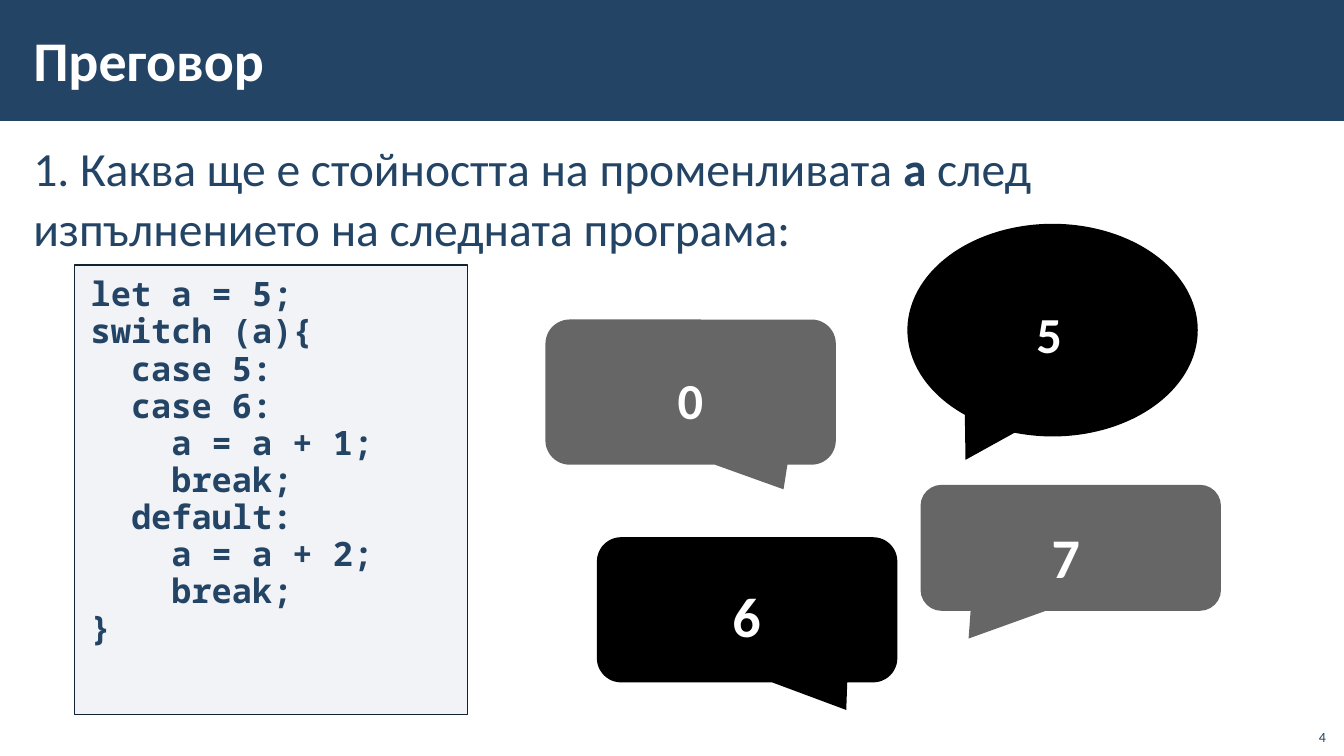
"""Build a quiz slide with a code listing and four answer callouts."""
from dataclasses import dataclass

from lxml import etree
from pptx import Presentation
from pptx.dml.color import RGBColor
from pptx.enum import shapes, text
from pptx.oxml import ns
from pptx.util import Emu, Pt

TITLE = "Преговор"
QUESTION = [
    [("1. Каква ще е стойността на променливата ", False), ("а", True), (" след ", False)],
    [("изпълнението на следната програма:", False)],
]
CODE = """let a = 5;
switch (a){
  case 5:
  case 6:
    a = a + 1;
    break;
  default:
    a = a + 2;
    break;
}"""
PAGE = "4"

ELLIPSE = shapes.MSO_SHAPE.OVAL_CALLOUT
ROUNDED = shapes.MSO_SHAPE.ROUNDED_RECTANGULAR_CALLOUT
LEFT, CENTER, RIGHT = text.PP_ALIGN.LEFT, text.PP_ALIGN.CENTER, text.PP_ALIGN.RIGHT
TOP, MIDDLE, BOTTOM = text.MSO_ANCHOR.TOP, text.MSO_ANCHOR.MIDDLE, text.MSO_ANCHOR.BOTTOM


@dataclass(frozen=True)
class Theme:
    navy: str = "234465"
    white: str = "FFFFFF"
    black: str = "000000"
    gray: str = "666666"
    panel: str = "ADB4C3"
    panel_line: str = "112232"
    panel_opacity: int = 15
    body_font: str = "Calibri"
    code_font: str = "Noto Sans Mono"
    title_size: int = 40
    question_size: int = 34
    code_size: int = 24
    answer_size: int = 36
    big_answer_size: int = 40
    page_size: int = 10


THEME = Theme()
PX = 9144
SLIDE = (1333, 750)
BAND = (0, 0, 1333, 120)
TITLE_BOX = (21, 11, 1062, 96)
QUESTION_BOX = (21, 131, 1292, 608)
CODE_BOX = (74, 263, 390, 446)
PAGE_BOX = (1285, 712, 40, 32)
BODY_INSETS = (12, 4, 12, 4)
WIDE_INSETS = (16, 12, 16, 12)
PAGE_INSETS = (10, 5, 10, 5)

ANSWERS = [
    dict(label="5", kind=ELLIPSE, box=(900, 222, 288, 211), tail=(-0.3, 0.61),
         color=THEME.black, label_box=(962, 289, 171, 84), insets=(66, 12, 16, 12),
         size=THEME.answer_size, align=LEFT, spacing=1.0),
    dict(label="7", kind=ROUNDED, box=(913, 481, 298, 125), tail=(-0.34, 0.72),
         color=THEME.gray, label_box=(910, 500, 294, 97), insets=WIDE_INSETS,
         size=THEME.big_answer_size, align=CENTER, spacing=1.1),
    dict(label="0", kind=ROUNDED, box=(541, 317, 288, 144), tail=(0.32, 0.67),
         color=THEME.gray, label_box=(656, 348, 91, 90), insets=WIDE_INSETS,
         size=THEME.answer_size, align=LEFT, spacing=1.1),
    dict(label="6", kind=ROUNDED, box=(592, 533, 298, 144), tail=(0.33, 0.69),
         color=THEME.black, label_box=(606, 558, 269, 97), insets=WIDE_INSETS,
         size=THEME.big_answer_size, align=CENTER, spacing=1.1),
]


def emu(lengths):
    return [Emu(length * PX) for length in lengths]


def rgb(color):
    return RGBColor.from_string(color)


def add_filled(parent, kind, box, color):
    shape = parent.add_shape(kind, *emu(box))
    shape.shadow.inherit = False
    shape.fill.solid()
    shape.fill.fore_color.rgb = rgb(color)
    shape.line.fill.background()
    return shape


def set_frame(shape, insets, anchor=TOP):
    frame = shape.text_frame
    frame.word_wrap = True
    frame.vertical_anchor = anchor
    (frame.margin_left, frame.margin_top,
     frame.margin_right, frame.margin_bottom) = emu(insets)
    return frame


def style(paragraph, size, color, font=THEME.body_font, bold=None, align=LEFT, spacing=1.0):
    paragraph.font.name = font
    paragraph.font.size = Pt(size)
    paragraph.font.color.rgb = rgb(color)
    paragraph.font.bold = bold
    paragraph.alignment = align
    paragraph.line_spacing = spacing


def add_label(parent, wording, box, insets, size, color, anchor=TOP, **options):
    frame = set_frame(parent.add_textbox(*emu(box)), insets, anchor)
    frame.text = wording
    style(frame.paragraphs[0], size, color, **options)


def add_code(parent):
    panel = add_filled(parent, shapes.MSO_SHAPE.RECTANGLE, CODE_BOX, THEME.panel)
    panel.line.color.rgb = rgb(THEME.panel_line)
    panel.line.width = Pt(1)
    fill_color = panel.fill._xPr.find(ns.qn("a:solidFill"))[0]
    etree.SubElement(fill_color, ns.qn("a:alpha"), val=str(THEME.panel_opacity * 1000))
    frame = set_frame(panel, WIDE_INSETS)
    frame.text = CODE
    for paragraph in frame.paragraphs:
        style(paragraph, THEME.code_size, THEME.navy, THEME.code_font, True, spacing=0.92)


def add_question(parent):
    frame = set_frame(parent.add_textbox(*emu(QUESTION_BOX)), BODY_INSETS)
    paragraph = frame.paragraphs[0]
    style(paragraph, THEME.question_size, THEME.navy, spacing=1.05)
    paragraph.space_before = paragraph.space_after = Pt(6)
    for index, line in enumerate(QUESTION):
        if index:
            paragraph.add_line_break()
        for wording, bold in line:
            run = paragraph.add_run()
            run.text = wording
            run.font.bold = bold


def add_answer(parent, answer):
    group = parent.add_group_shape().shapes
    callout = add_filled(group, answer["kind"], answer["box"], answer["color"])
    for index, offset in enumerate(answer["tail"]):
        callout.adjustments[index] = offset
    add_label(group, answer["label"], answer["label_box"], answer["insets"], answer["size"],
              THEME.white, bold=True, align=answer["align"], spacing=answer["spacing"])


def main():
    presentation = Presentation()
    presentation.slide_width, presentation.slide_height = emu(SLIDE)
    slide = presentation.slides.add_slide(presentation.slide_layouts[6])
    parts = slide.shapes
    add_filled(parts, shapes.MSO_SHAPE.RECTANGLE, BAND, THEME.navy)
    add_code(parts)
    add_question(parts)
    add_label(parts, TITLE, TITLE_BOX, BODY_INSETS, THEME.title_size, THEME.white,
              MIDDLE, bold=True)
    for answer in ANSWERS:
        add_answer(parts, answer)
    add_label(parts, PAGE, PAGE_BOX, PAGE_INSETS, THEME.page_size, THEME.navy,
              BOTTOM, align=RIGHT)
    presentation.save("out.pptx")


if __name__ == "__main__":
    main()
